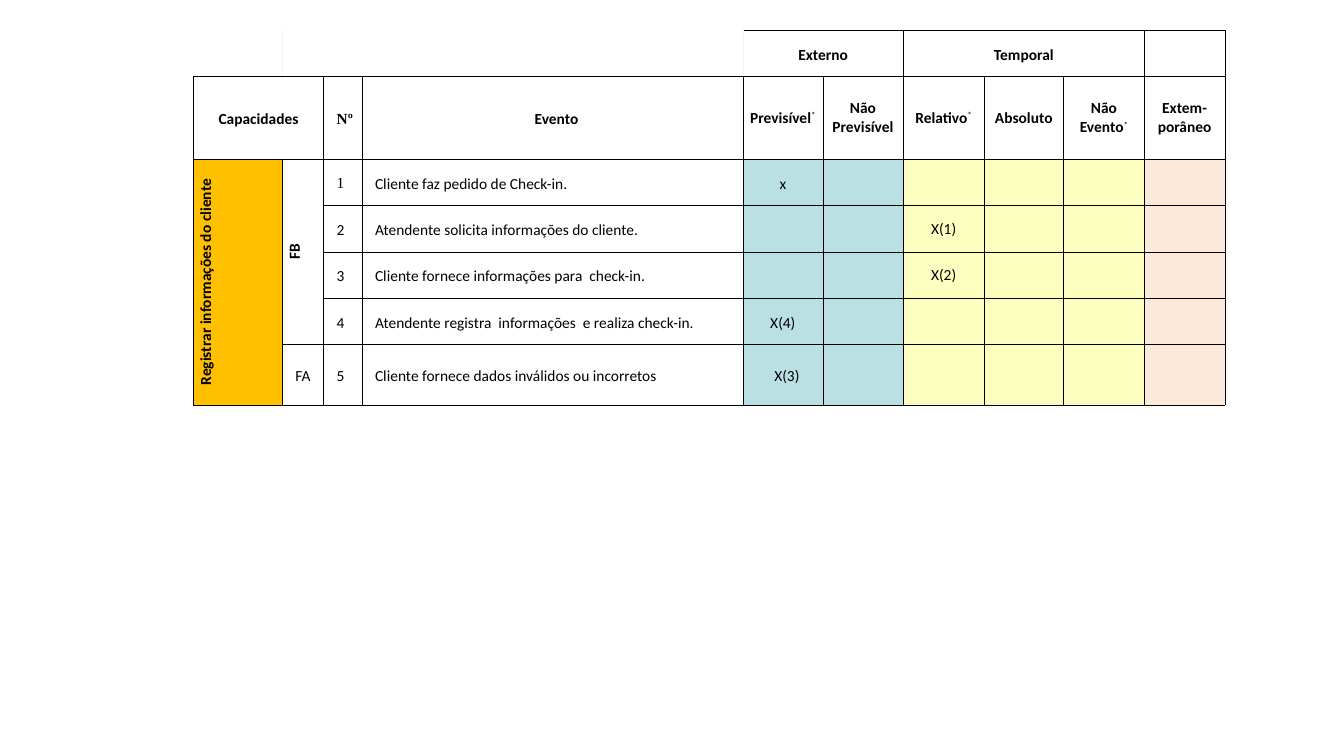
from lxml.etree import SubElement
from pptx import Presentation
from pptx.dml.color import RGBColor
from pptx.enum.text import MSO_ANCHOR, PP_ALIGN
from pptx.oxml.ns import qn
from pptx.util import Inches, Pt

BLACK = RGBColor(0x00, 0x00, 0x00)
PALE_GREY = RGBColor(0xF2, 0xF2, 0xF2)
AMBER = RGBColor(0xFF, 0xC0, 0x00)
TEAL = RGBColor(0xBB, 0xE0, 0xE3)
YELLOW = RGBColor(0xFB, 0xFE, 0xBE)
PEACH = RGBColor(0xFD, 0xE9, 0xD9)

COLUMN_WIDTHS = [0.88, 0.41, 0.38, 3.78, 0.79, 0.8, 0.8, 0.79, 0.8, 0.8]
ROW_HEIGHTS = [0.46, 0.82, 0.46, 0.46, 0.46, 0.46, 0.6]
MARK_FILLS = [TEAL, TEAL, YELLOW, YELLOW, YELLOW, PEACH]
FIRST_MARK_COLUMN = 4
FIRST_EVENT_ROW = 2


def write_cell(cell, text, bold=False, font="Calibri", centered=True,
               indented=False, spacing=1.15, starred=False, vertical=False):
    """Write formatted text in a cell, with an optional superscript star."""
    paragraph = cell.text_frame.paragraphs[0]
    paragraph.alignment = PP_ALIGN.CENTER if centered else PP_ALIGN.LEFT
    paragraph.line_spacing = spacing
    if indented:
        paragraph._p.get_or_add_pPr().set("indent", str(Inches(0.08)))
    if vertical:
        cell._tc.get_or_add_tcPr().set("vert", "vert270")
    for content in [text, "*"] if starred else [text]:
        run = paragraph.add_run()
        run.text = content
        run.font.name = font
        run.font.size = Pt(11)
        run.font.bold = bold and content != "*"
        run.font.color.rgb = BLACK
        if content == "*":
            run.font._element.set("baseline", "30000")


def set_borders(cell, colors):
    """Set left, right, top and bottom border colours; None hides a border."""
    properties = cell._tc.get_or_add_tcPr()
    for position, (side, color) in enumerate(zip("LRTB", colors)):
        line = SubElement(properties, qn(f"a:ln{side}"), w=str(Pt(0.25)))
        if color is None:
            SubElement(line, qn("a:noFill"))
        else:
            fill = SubElement(line, qn("a:solidFill"))
            SubElement(fill, qn("a:srgbClr"), val=str(color))
        properties.insert(position, line)


presentation = Presentation()
presentation.slide_width = Inches(13.33)
presentation.slide_height = Inches(7.5)
slide = presentation.slides.add_slide(presentation.slide_layouts[6])

table = slide.shapes.add_table(
    len(ROW_HEIGHTS), len(COLUMN_WIDTHS), Inches(1.92), Inches(0.3),
    Inches(sum(COLUMN_WIDTHS)), Inches(sum(ROW_HEIGHTS))).table
table.first_row = False
table.horz_banding = False
for column, width in zip(table.columns, COLUMN_WIDTHS):
    column.width = Inches(width)
for row, height in zip(table.rows, ROW_HEIGHTS):
    row.height = Inches(height)

# Fills, margins and borders
for row_index in range(len(ROW_HEIGHTS)):
    for column_index in range(len(COLUMN_WIDTHS)):
        cell = table.cell(row_index, column_index)
        cell.vertical_anchor = MSO_ANCHOR.MIDDLE
        cell.margin_left = cell.margin_right = Inches(0.05)
        cell.margin_top = cell.margin_bottom = 0
        cell.fill.background()
        if row_index >= FIRST_EVENT_ROW:
            if column_index >= FIRST_MARK_COLUMN:
                cell.fill.solid()
                cell.fill.fore_color.rgb = MARK_FILLS[column_index - FIRST_MARK_COLUMN]
            elif column_index == 0:
                cell.fill.solid()
                cell.fill.fore_color.rgb = AMBER
        borders = [BLACK] * 4
        if row_index == 0 and column_index < FIRST_MARK_COLUMN:
            borders = [PALE_GREY if column_index else None, PALE_GREY, None, BLACK]
        elif row_index == 0 and column_index == FIRST_MARK_COLUMN:
            borders[0] = PALE_GREY
        set_borders(cell, borders)

# Merged areas: first row, first column, last row, last column
for top, left, bottom, right in [(0, 1, 0, 3), (0, 4, 0, 5), (0, 6, 0, 8),
                                 (1, 0, 1, 1), (2, 0, 6, 0), (2, 1, 5, 1)]:
    table.cell(top, left).merge(table.cell(bottom, right))

# Headings
write_cell(table.cell(0, 4), "Externo", bold=True)
write_cell(table.cell(0, 6), "Temporal", bold=True)
write_cell(table.cell(1, 0), "Capacidades", bold=True)
write_cell(table.cell(1, 2), "Nº", bold=True, font="Times New Roman",
           centered=False, indented=True)
write_cell(table.cell(1, 3), "Evento", bold=True, indented=True)
mark_headings = [("Previsível", True), ("Não Previsível", False),
                 ("Relativo", True), ("Absoluto", False),
                 ("Não Evento", True), ("Extem-porâneo", False)]
for column_index, (heading, starred) in enumerate(mark_headings, FIRST_MARK_COLUMN):
    write_cell(table.cell(1, column_index), heading, bold=True, spacing=1.0,
               starred=starred)

# Capability and flows
write_cell(table.cell(2, 0), "Registrar informações do cliente", bold=True, vertical=True)
write_cell(table.cell(2, 1), "FB", bold=True, vertical=True)
write_cell(table.cell(6, 1), "FA", centered=False, indented=True)

# Events, each with its mark and the column of that mark
events = [("Cliente faz pedido de Check-in.", "x", 4),
          ("Atendente solicita informações do cliente.", "X(1)", 6),
          ("Cliente fornece informações para  check-in.", "X(2)", 6),
          ("Atendente registra  informações  e realiza check-in.", "X(4)", 4),
          ("Cliente fornece dados inválidos ou incorretos", "X(3)", 4)]
for number, (event, mark, mark_column) in enumerate(events, 1):
    row_index = FIRST_EVENT_ROW + number - 1
    write_cell(table.cell(row_index, 2), str(number), centered=False, indented=True,
               font="Times New Roman" if number == 1 else "Calibri")
    write_cell(table.cell(row_index, 3), event, centered=False, indented=True)
    write_cell(table.cell(row_index, mark_column), mark,
               spacing=1.0 if mark_column == 6 else 1.15,
               indented=number == len(events))

presentation.save("out.pptx")
